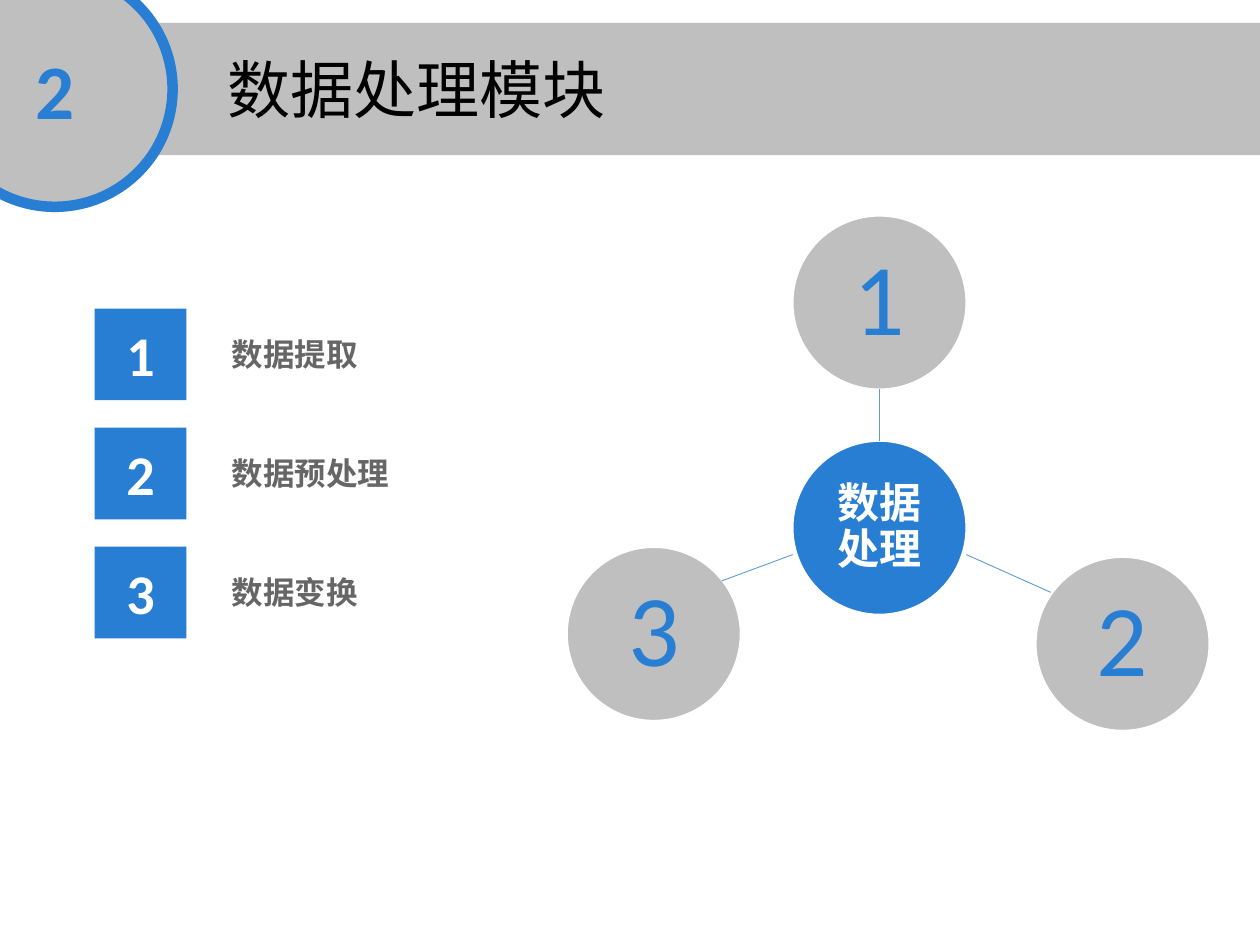
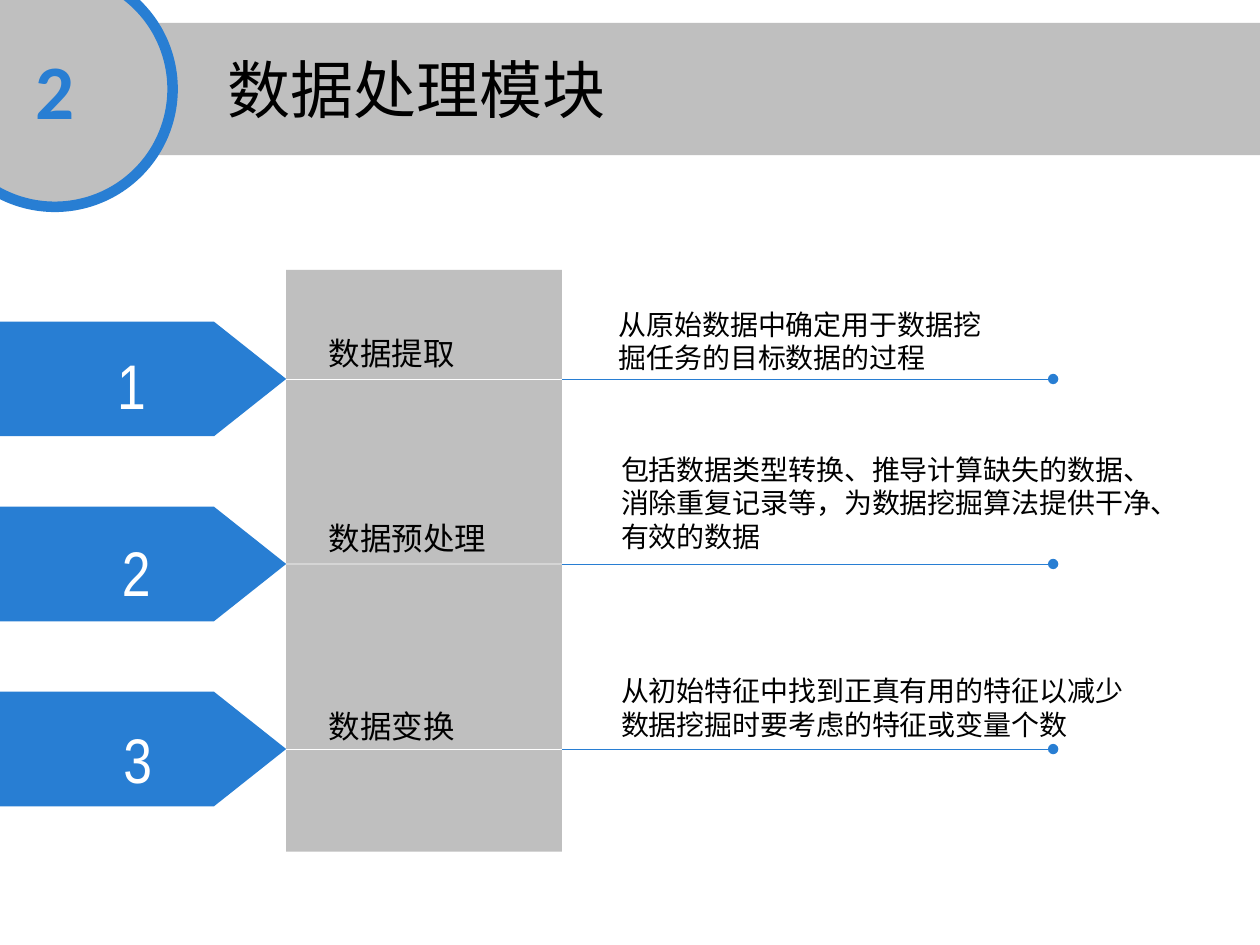
from lxml.etree import SubElement
from pptx import Presentation
from pptx.dml.color import RGBColor
from pptx.enum.shapes import MSO_CONNECTOR, MSO_SHAPE
from pptx.enum.text import MSO_ANCHOR, PP_ALIGN
from pptx.oxml.ns import qn
from pptx.util import Cm, Pt

BLUE = RGBColor(0x28, 0x7E, 0xD3)
SPOKE_BLUE = RGBColor(0x5B, 0x9B, 0xD5)
GRAY = RGBColor(0xBF, 0xBF, 0xBF)
TEXT_GRAY = RGBColor(0x66, 0x66, 0x66)
BLACK = RGBColor(0, 0, 0)
WHITE = RGBColor(0xFF, 0xFF, 0xFF)

HAN_FONT = "Noto Sans CJK SC"
LABEL_FONT = "DejaVu Sans"
DIGIT_FONT = "Calibri"
ARROW_FONT = "Arial Narrow"

STEPS = ["数据提取", "数据预处理", "数据变换"]


class Deck:
    """Shared style and the slide being drawn; positions are in centimetres."""

    def __init__(self):
        self.presentation = Presentation()
        self.presentation.slide_width = Cm(25.4)
        self.presentation.slide_height = Cm(19.05)
        self.slide = None

    def new_slide(self, number, title):
        layout = self.presentation.slide_layouts[6]
        self.slide = self.presentation.slides.add_slide(layout)
        self.shape(MSO_SHAPE.RECTANGLE, 2.18, 0.46, 23.22, 2.67, GRAY)
        badge = self.shape(MSO_SHAPE.OVAL, -1.27, -0.58, 4.75, 4.75, GRAY, BLUE, 6)
        self.fill_text(badge, number, 44, BLUE, DIGIT_FONT, bold=True, centred=True)
        self.text(title, 4.34, 0.89, 15.72, 1.78, 36)

    def shape(self, kind, left, top, width, height, fill, outline=None, weight=1):
        shape = self.slide.shapes.add_shape(
            kind, Cm(left), Cm(top), Cm(width), Cm(height))
        shape.shadow.inherit = False
        shape.fill.solid()
        shape.fill.fore_color.rgb = fill
        if outline is None:
            shape.line.fill.background()
        else:
            shape.line.color.rgb = outline
            shape.line.width = Pt(weight)
        return shape

    def fill_text(self, shape, content, size, color, font, bold=False, centred=False):
        frame = shape.text_frame
        frame.word_wrap = True
        frame.vertical_anchor = MSO_ANCHOR.MIDDLE if centred else MSO_ANCHOR.TOP
        frame.text = content
        for paragraph in frame.paragraphs:
            paragraph.alignment = PP_ALIGN.CENTER if centred else PP_ALIGN.LEFT
            for run in paragraph.runs:
                run.font.size = Pt(size)
                run.font.bold = bold
                run.font.color.rgb = color
                run.font.name = font
                SubElement(run._r.get_or_add_rPr(), qn("a:ea")).set("typeface", font)

    def text(self, content, left, top, width, height, size,
             color=BLACK, font=HAN_FONT, bold=False):
        box = self.slide.shapes.add_textbox(
            Cm(left), Cm(top), Cm(width), Cm(height))
        self.fill_text(box, content, size, color, font, bold)

    def circle(self, content, center_x, center_y, fill, size, color, font,
               space_after, bold=False):
        diameter = 3.5
        circle = self.shape(MSO_SHAPE.OVAL, center_x - diameter / 2,
                            center_y - diameter / 2, diameter, diameter, fill, WHITE)
        self.fill_text(circle, content, size, color, font, bold, centred=True)
        frame = circle.text_frame
        frame.margin_left = frame.margin_right = Cm(0.1)
        frame.margin_top = frame.margin_bottom = Cm(0.1)
        frame.paragraphs[0].line_spacing = 0.9
        frame.paragraphs[0].space_after = Pt(space_after)
        return circle

    def line(self, start, end, color, dot=False):
        line = self.slide.shapes.add_connector(
            MSO_CONNECTOR.STRAIGHT, *map(Cm, start + end))
        line.line.color.rgb = color
        line.line.width = Pt(0.5)
        properties = line._element.spPr
        if dot:
            SubElement(properties.find(qn("a:ln")), qn("a:tailEnd")).set("type", "oval")
        SubElement(properties, qn("a:effectLst"))
        return line

    def save(self):
        self.presentation.save("out.pptx")


def draw_overview(deck):
    deck.new_slide("2", "数据处理模块")
    hub = deck.circle("数据处理", 17.73, 10.64, BLUE, 24, WHITE, HAN_FONT, 10.5, True)
    centers = [(17.73, 6.1), (22.63, 12.98), (13.18, 12.78)]
    for number, (x, y) in enumerate(centers, 1):
        deck.circle(str(number), x, y, GRAY, 58, BLUE, DIGIT_FONT, 25.4)

    for index, step in enumerate(STEPS):
        offset = index * 2.4
        square = deck.shape(MSO_SHAPE.RECTANGLE, 1.91, 6.22 + offset, 1.85, 1.85, BLUE)
        deck.fill_text(square, str(index + 1), 32, WHITE, DIGIT_FONT, True, centred=True)
        deck.text(step, 4.42, 6.63 + offset, 7.01, 1.02, 18, TEXT_GRAY, bold=True)

    deck.line((19.48, 11.18), (21.18, 11.94), SPOKE_BLUE)
    deck.line((15.98, 11.18), (14.55, 11.71), SPOKE_BLUE)
    top_spoke = deck.line((17.73, 7.85), (17.73, 8.89), SPOKE_BLUE)
    top_spoke.end_connect(hub, 0)


def draw_details(deck):
    deck.new_slide("2", "数据处理模块")
    panel_left, panel_right = 5.77, 11.33
    arrow_height = 2.31
    deck.shape(MSO_SHAPE.RECTANGLE, panel_left, 5.44,
               panel_right - panel_left, 11.73, GRAY)

    # Each row: number position, label top, description position and width, wording
    rows = [
        ((2.11, 6.86), 6.6, (12.22, 6.07), 8.38,
         "从原始数据中确定用于数据挖掘任务的目标数据的过程"),
        ((2.21, 10.64), 10.34, (12.27, 8.99), 12.5,
         "包括数据类型转换、推导计算缺失的数据、\n"
         "消除重复记录等，为数据挖掘算法提供干净、\n有效的数据"),
        ((2.24, 14.4), 14.12, (12.27, 13.46), 12.5,
         "从初始特征中找到正真有用的特征以减少\n数据挖掘时要考虑的特征或变量个数"),
    ]
    for index, (number_at, label_top, description_at, width, description) in enumerate(rows):
        axis = 7.64 + index * 3.73
        arrow = deck.shape(MSO_SHAPE.PENTAGON, 0, axis - arrow_height / 2,
                           panel_left, arrow_height, BLUE)
        arrow.adjustments[0] = 0.63
        divider = deck.line((panel_left, axis), (panel_right, axis), WHITE)
        divider.begin_connect(arrow, 3)
        deck.line((panel_right, axis), (21.23, axis), BLUE, dot=True)
        deck.text(str(index + 1), *number_at, 1.22, 1.78, 36, WHITE, ARROW_FONT)
        deck.text(STEPS[index], 6.38, label_top, 4.2, 1.02, 18, font=LABEL_FONT)
        deck.text(description, *description_at, width, 1.63, 16)


def main():
    deck = Deck()
    draw_overview(deck)
    draw_details(deck)
    deck.save()


if __name__ == "__main__":
    main()
